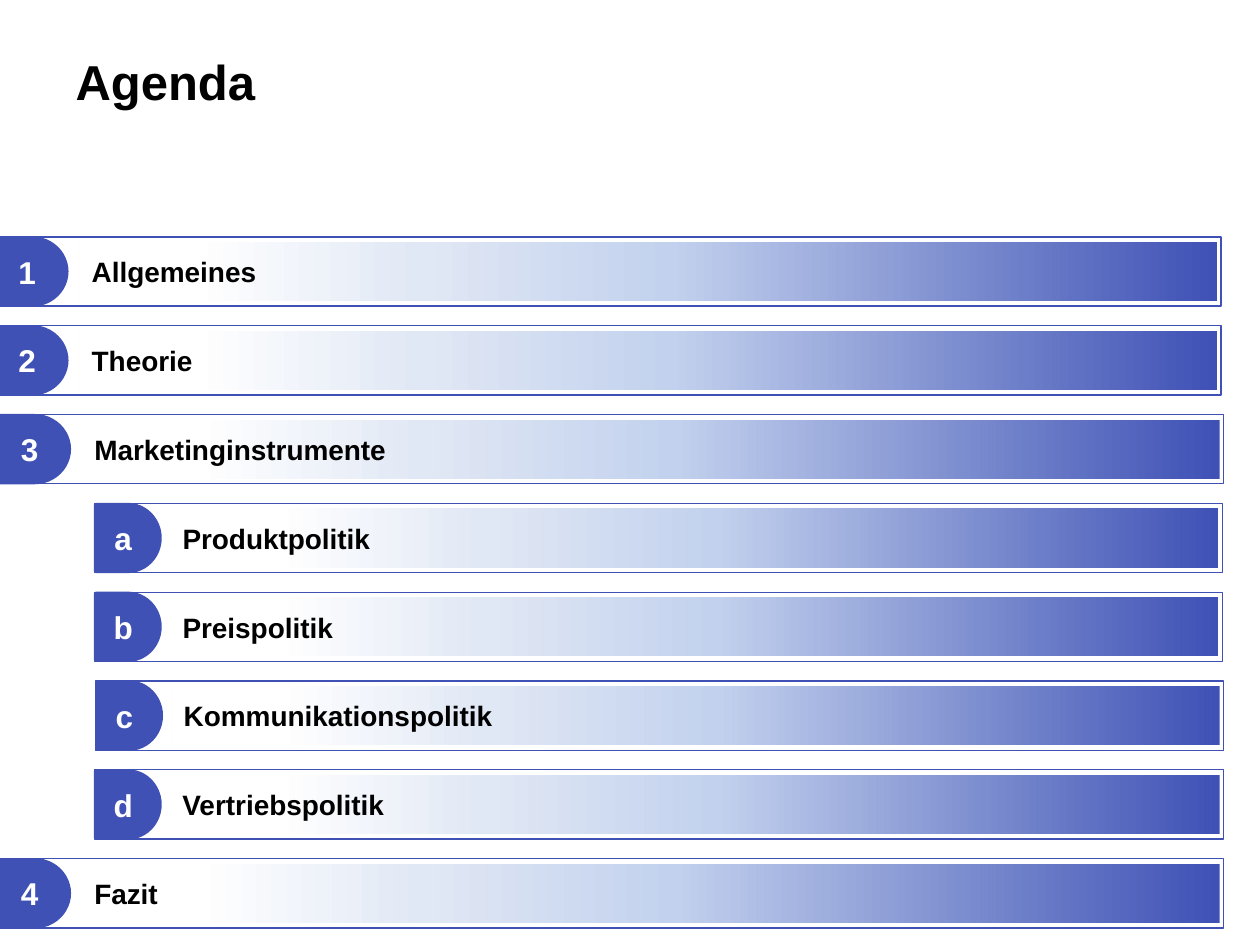
from lxml import etree
from pptx import Presentation
from pptx.dml.color import RGBColor
from pptx.enum.shapes import MSO_SHAPE
from pptx.enum.text import MSO_ANCHOR, PP_ALIGN
from pptx.oxml.ns import qn
from pptx.util import Inches, Pt

RECT, DELAY = MSO_SHAPE.RECTANGLE, MSO_SHAPE.FLOWCHART_DELAY
LEFT, CENTER = PP_ALIGN.LEFT, PP_ALIGN.CENTER
MIDDLE = MSO_ANCHOR.MIDDLE
TITLE_ONLY = 5

FONT = "Arial"
COLORS = {"blue": "3F51B5", "sky": "C2D1ED", "mist": "E1E8F5",
          "white": "FFFFFF", "black": "000000"}
GRADIENT = [(0, "blue"), (48, "sky"), (70, "mist"), (90, "white")]

# Row grid in inches
FIRST_TOP, PITCH, ROW_HEIGHT = 1.88, 0.705, 0.55
BADGE_WIDTH = {"main": 0.55, "sub": 0.51}
BAR_OFFSET = {"main": 0.66, "sub": 0.6}

# Level, left edge, right edge, mark, topic
AGENDA = [
    ("main", -0.03, 9.69, "1", "Allgemeines"),
    ("main", -0.03, 9.69, "2", "Theorie"),
    ("main", -0.01, 9.71, "3", "Marketinginstrumente"),
    ("sub", 0.75, 9.7, "a", "Produktpolitik"),
    ("sub", 0.75, 9.7, "b", "Preispolitik"),
    ("sub", 0.76, 9.71, "c", "Kommunikationspolitik"),
    ("sub", 0.75, 9.71, "d", "Vertriebspolitik"),
    ("main", -0.01, 9.71, "4", "Fazit"),
]


def rgb(name):
    return RGBColor.from_string(COLORS[name])


def set_text(s, text, size, color, align):
    tf = s.text_frame
    tf.text = text
    tf.word_wrap = True
    tf.vertical_anchor = MIDDLE
    p = tf.paragraphs[0]
    p.alignment = align
    font = p.runs[0].font
    font.name, font.size, font.bold = FONT, Pt(size), True
    font.color.rgb = rgb(color)


def add_part(group, kind, x, y, w, h):
    s = group.shapes.add_shape(kind, Inches(x), Inches(y), Inches(w), Inches(h))
    s.shadow.inherit = False
    return s


def fill_gradient(s):
    s.fill.gradient()
    s.fill.gradient_angle = 180
    stops = s.element.spPr.find(qn("a:gradFill")).find(qn("a:gsLst"))
    for stop in list(stops):
        stops.remove(stop)
    for share, color in GRADIENT:
        stop = etree.SubElement(stops, qn("a:gs"), pos=str(share * 1000))
        etree.SubElement(stop, qn("a:srgbClr"), val=COLORS[color])


def add_title(slide, x, y, w, h):
    title = slide.shapes.title
    title.left, title.top, title.width, title.height = map(Inches, (x, y, w, h))
    set_text(title, "Agenda", 28, "black", LEFT)


def add_row(slide, level, x, y, w, h, mark, topic):
    group = slide.shapes.add_group_shape()

    # Gradient bar with the topic
    offset = BAR_OFFSET[level]
    bar = add_part(group, RECT, x + offset, y + 0.04, w - offset - 0.03, h - 0.08)
    fill_gradient(bar)
    bar.line.fill.background()
    set_text(bar, topic, 16, "black", LEFT)

    # Rounded badge with the number or letter
    badge = add_part(group, DELAY, x + 0.01, y + 0.01, BADGE_WIDTH[level], h - 0.02)
    badge.fill.solid()
    badge.fill.fore_color.rgb = rgb("blue")
    badge.line.color.rgb = rgb("blue")
    badge.line.width = Pt(2)
    set_text(badge, mark, 18, "white", CENTER)

    # Thin frame around the row
    frame = add_part(group, RECT, x, y, w, h)
    frame.fill.background()
    frame.line.color.rgb = rgb("blue")
    frame.line.width = Pt(0.75)


def main():
    prs = Presentation()
    prs.slide_width, prs.slide_height = Inches(10), Inches(7.5)
    slide = prs.slides.add_slide(prs.slide_layouts[TITLE_ONLY])
    add_title(slide, 0.5, 0.3, 9, 0.69)
    for i, (level, left, right, mark, topic) in enumerate(AGENDA):
        add_row(slide, level, left, FIRST_TOP + i * PITCH, right - left,
                ROW_HEIGHT, mark, topic)
    prs.save("out.pptx")


if __name__ == "__main__":
    main()
